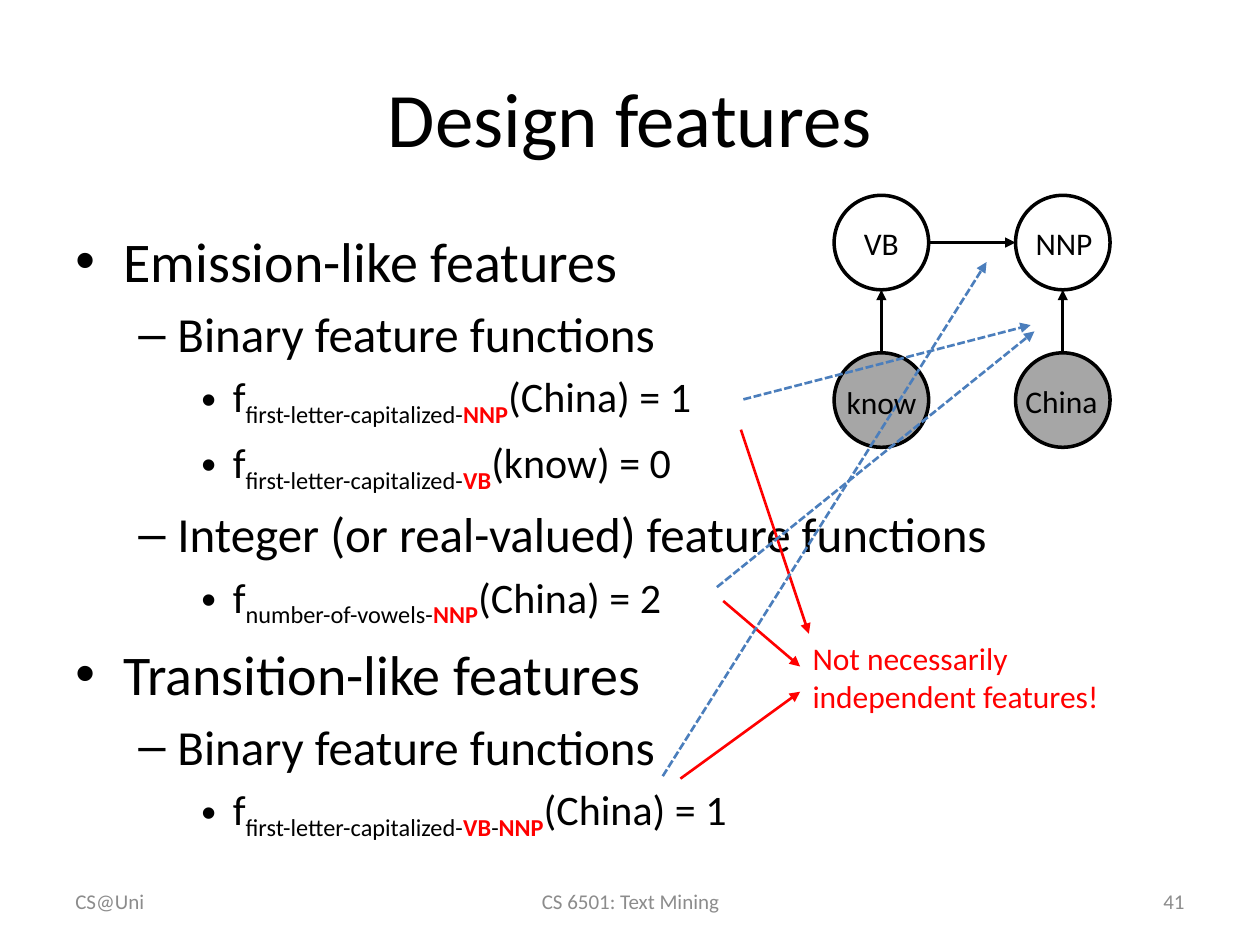
from lxml import etree
from pptx import Presentation
from pptx.dml.color import RGBColor
from pptx.enum.dml import MSO_LINE_DASH_STYLE as Dash
from pptx.enum.shapes import MSO_CONNECTOR as Connector, MSO_SHAPE as Shape
from pptx.enum.text import MSO_ANCHOR as Anchor, PP_ALIGN as Align
from pptx.oxml.ns import qn
from pptx.util import Inches, Pt

BLACK, WHITE, RED = "000000", "FFFFFF", "FF0000"
GRAY, BLUE, FOOTER = "A6A6A6", "4B7EBC", "8C8C8C"

# Size, left margin, hanging indent and bullet of each outline level
LEVELS = [
    (32, 0.38, 0.38, "•"),
    (28, 0.81, 0.31, "–"),
    (24, 1.25, 0.25, "•"),
]


def color(hex_value):
    return RGBColor.from_string(hex_value)


class SlideBuilder:
    font = "Calibri"

    def __init__(self, slide):
        self.slide = slide

    def run(self, paragraph, text, size, ink=BLACK, bold=False, subscript=False):
        run = paragraph.add_run()
        run.text = text
        run.font.name = self.font
        run.font.size = Pt(size)
        run.font.bold = bold
        run.font.color.rgb = color(ink)
        if subscript:
            run.font._element.set("baseline", "-25000")

    def frame(self, left, top, width, height, anchor=Anchor.TOP):
        box = self.slide.shapes.add_textbox(
            Inches(left), Inches(top), Inches(width), Inches(height))
        box.text_frame.word_wrap = True
        box.text_frame.vertical_anchor = anchor
        return box.text_frame

    def text(self, text, bounds, size=18, ink=BLACK, align=Align.LEFT, anchor=Anchor.TOP):
        paragraph = self.frame(*bounds, anchor).paragraphs[0]
        paragraph.alignment = align
        self.run(paragraph, text, size, ink)

    def outline(self, items, bounds):
        """Add a bulleted list; each item is a level and its (text, style) runs."""
        frame = self.frame(*bounds)
        for index, (level, runs) in enumerate(items):
            paragraph = frame.add_paragraph() if index else frame.paragraphs[0]
            size, margin, hanging, bullet = LEVELS[level]
            paragraph.level = level
            paragraph.space_before = Pt(size * 0.2)
            properties = paragraph._p.get_or_add_pPr()
            properties.set("marL", str(Inches(margin)))
            properties.set("indent", str(-Inches(hanging)))
            etree.SubElement(properties, qn("a:buFont")).set("typeface", "Arial")
            etree.SubElement(properties, qn("a:buChar")).set("char", bullet)
            for text, style in runs:
                self.run(paragraph, text, size, **style)

    def node(self, left, top, diameter, fill, label=""):
        circle = self.slide.shapes.add_shape(
            Shape.OVAL, Inches(left), Inches(top), Inches(diameter), Inches(diameter))
        circle.shadow.inherit = False
        circle.fill.solid()
        circle.fill.fore_color.rgb = color(fill)
        circle.line.color.rgb = color(BLACK)
        circle.line.width = Pt(2)
        if label:
            frame = circle.text_frame
            frame.vertical_anchor = Anchor.MIDDLE
            frame.paragraphs[0].alignment = Align.CENTER
            self.run(frame.paragraphs[0], label, 18)

    def arrow(self, start, end, ink=BLACK, dash=None):
        points = [Inches(value) for value in (*start, *end)]
        arrow = self.slide.shapes.add_connector(Connector.STRAIGHT, *points)
        arrow.line.color.rgb = color(ink)
        arrow.line.width = Pt(1.5)
        if dash:
            arrow.line.dash_style = dash
        etree.SubElement(arrow.line._get_or_add_ln(), qn("a:tailEnd")).set("type", "triangle")
        etree.SubElement(arrow._element.spPr, qn("a:effectLst"))


def heading(level, text):
    return level, [(text, {})]


def feature(name, tags, value):
    """Return a third-level item: f, a subscript name with red tags, and a value."""
    runs = [("f", {}), (name, {"subscript": True})]
    for index, tag in enumerate(tags):
        if index:
            runs.append(("-", {"subscript": True}))
        runs.append((tag, {"subscript": True, "ink": RED, "bold": True}))
    return 2, runs + [(value, {})]


def main():
    presentation = Presentation()
    presentation.slide_width, presentation.slide_height = Inches(10), Inches(7.5)
    builder = SlideBuilder(presentation.slides.add_slide(presentation.slide_layouts[6]))

    builder.text("Design features", (0.5, 0.3, 9, 1.25), 44,
                 align=Align.CENTER, anchor=Anchor.MIDDLE)
    capitalized = "first-letter-capitalized-"
    builder.outline([
        heading(0, "Emission-like features"),
        heading(1, "Binary feature functions"),
        feature(capitalized, ["NNP"], "(China) = 1"),
        feature(capitalized, ["VB"], "(know) = 0"),
        heading(1, "Integer (or real-valued) feature functions"),
        feature("number-of-vowels-", ["NNP"], "(China) = 2"),
        heading(0, "Transition-like features"),
        heading(1, "Binary feature functions"),
        feature(capitalized, ["VB", "NNP"], "(China) = 1"),
    ], (0.5, 1.75, 9, 4.95))

    for start, end in [((5.74, 4.77), (6.35, 5.29)),
                       ((5.4, 6.18), (6.35, 5.49)),
                       ((5.88, 3.41), (6.42, 5.03))]:
        builder.arrow(start, end, RED)
    builder.text("Not necessarily independent features!", (6.35, 5.02, 2.69, 0.71), ink=RED)

    # Tag nodes above, word nodes below
    diameter, tag_top, word_top = 0.75, 1.55, 2.8
    columns = verb_left, noun_left = 6.62, 8.06
    for left, tag in zip(columns, ("VB", "")):
        center = left + diameter / 2
        builder.node(left, tag_top, diameter, WHITE, tag)
        builder.node(left, word_top, diameter, GRAY)
        builder.arrow((center, word_top), (center, tag_top + diameter))
    tag_middle = tag_top + diameter / 2
    builder.arrow((verb_left + diameter, tag_middle), (noun_left, tag_middle))
    builder.text("China", (8.04, 2.98, 0.83, 0.4))
    builder.text("NNP", (8.12, 1.73, 0.92, 0.4))

    for start, end in [((5.9, 3.17), (8.18, 2.58)),
                       ((5.69, 4.66), (8.21, 2.63)),
                       ((5.26, 6.16), (7.83, 2.08))]:
        builder.arrow(start, end, BLUE, Dash.SQUARE_DOT)

    for text, left, width, align in [("CS@Uni", 0.5, 2.33, Align.LEFT),
                                     ("CS 6501: Text Mining", 3.42, 3.17, Align.CENTER),
                                     ("41", 7.17, 2.33, Align.RIGHT)]:
        builder.text(text, (left, 6.95, width, 0.4), 12, FOOTER, align, Anchor.MIDDLE)
    builder.text("know", (6.62, 2.99, 0.79, 0.4))

    presentation.save("out.pptx")


if __name__ == "__main__":
    main()
